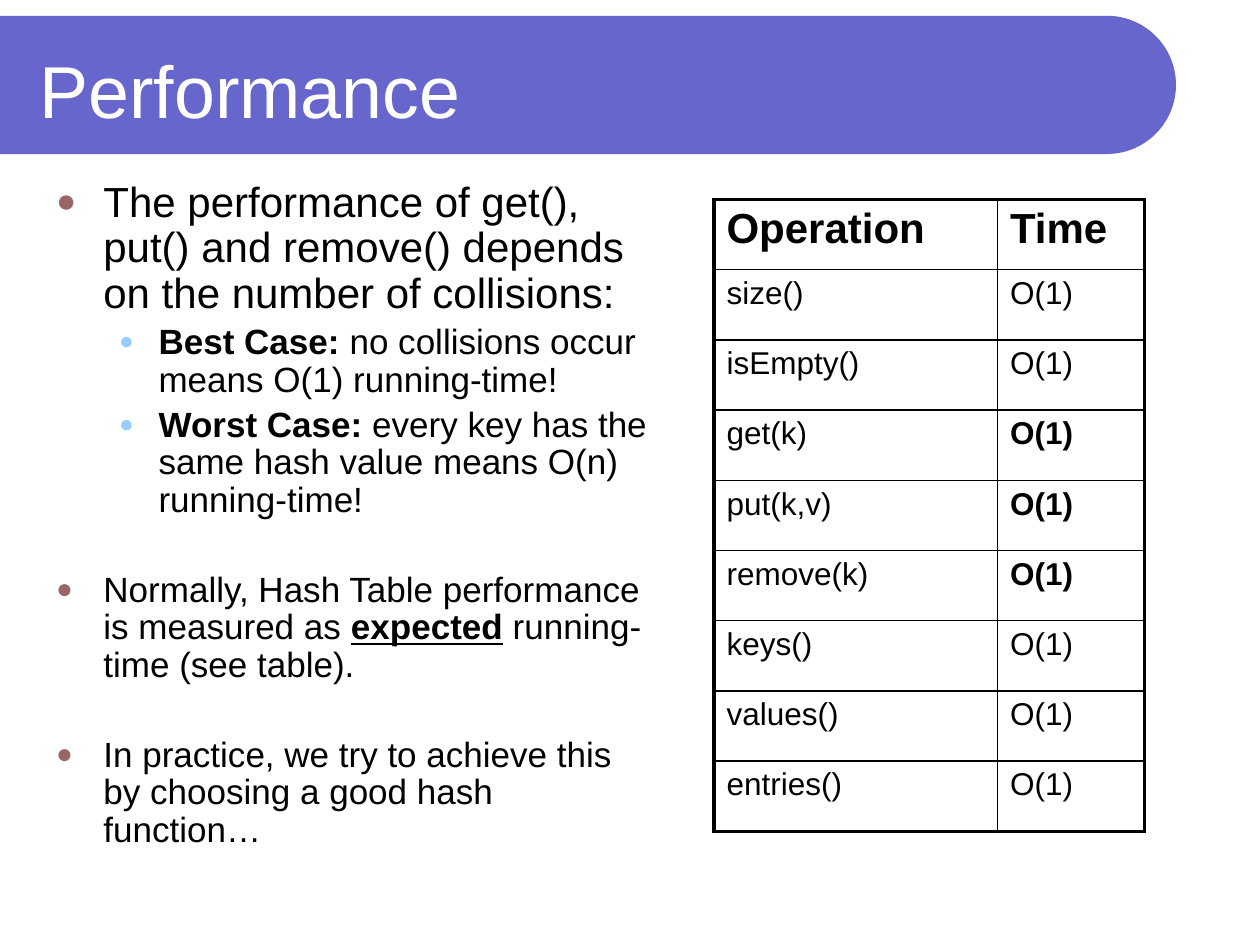
from dataclasses import dataclass
from math import cos, pi, sin

from lxml.etree import SubElement
from pptx import Presentation
from pptx.dml.color import RGBColor
from pptx.enum.text import MSO_ANCHOR
from pptx.oxml.ns import qn
from pptx.util import Pt


@dataclass(frozen=True)
class Theme:
    font: str = "Arial"
    banner: str = "6666CC"
    title: str = "FFFFFF"
    text: str = "000000"
    bullets: tuple = (("996666", 80), ("99CCFF", 70))  # colour, percent size
    indents: tuple = ((27, -27), (58.5, -22.5))  # left margin, first line
    title_size: float = 42
    large: float = 24
    body: float = 20
    cell: float = 18
    outer_line: float = 2.25
    inner_line: float = 1


THEME = Theme()

# level, size, space before, runs of (text, bold, underline)
POINTS = [
    (0, THEME.large, 0, [
        ("The performance of get(), put() and remove() depends on the number of collisions:",
         False, False)]),
    (1, THEME.body, 4, [
        ("Best Case: ", True, False),
        ("no collisions occur means O(1) running-time!", False, False)]),
    (1, THEME.body, 4, [
        ("Worst Case: ", True, False),
        ("every key has the same hash value means O(n) running-time!", False, False)]),
    (0, THEME.body, 29.5, [
        ("Normally, Hash Table performance is measured as ", False, False),
        ("expected", True, True),
        (" running-time (see table).", False, False)]),
    (0, THEME.body, 29.5, [
        ("In practice, we try to achieve this by choosing a good hash function…",
         False, False)]),
]

OPERATIONS = ["size()", "isEmpty()", "get(k)", "put(k,v)", "remove(k)",
              "keys()", "values()", "entries()"]
EXPECTED_TIMES = {"get(k)", "put(k,v)", "remove(k)"}


def add_run(paragraph, text, size, color=THEME.text, bold=False, underline=False):
    run = paragraph.add_run()
    run.text = text
    font = run.font
    font.name, font.size = THEME.font, Pt(size)
    font.bold, font.underline = bold, underline
    font.color.rgb = RGBColor.from_string(color)


def add_text_frame(slide, left, top, width, height):
    box = slide.shapes.add_textbox(Pt(left), Pt(top), Pt(width), Pt(height))
    box.text_frame.word_wrap = True
    return box.text_frame


def set_bullet(paragraph, level):
    color, percent = THEME.bullets[level]
    margin, indent = THEME.indents[level]
    properties = paragraph._p.get_or_add_pPr()
    properties.set("marL", str(Pt(margin)))
    properties.set("indent", str(Pt(indent)))
    bullet_color = SubElement(properties, qn("a:buClr"))
    SubElement(bullet_color, qn("a:srgbClr"), val=color)
    SubElement(properties, qn("a:buSzPct"), val=str(percent * 1000))
    SubElement(properties, qn("a:buFont"), typeface=THEME.font)
    SubElement(properties, qn("a:buChar"), char="●")


def add_banner(slide, left, top, width, height):
    # Bar with a semicircular right end
    radius = height / 2
    center_x, center_y = left + width - radius, top + radius
    steps = 60
    angles = [pi * (step / steps - 0.5) for step in range(steps + 1)]
    arc = [(Pt(center_x + radius * cos(angle)), Pt(center_y + radius * sin(angle)))
           for angle in angles]
    builder = slide.shapes.build_freeform(Pt(left), Pt(top))
    builder.add_line_segments(arc + [(Pt(left), Pt(top + height))], close=True)
    bar = builder.convert_to_shape()
    bar.shadow.inherit = False
    bar.fill.solid()
    bar.fill.fore_color.rgb = RGBColor.from_string(THEME.banner)
    bar.line.fill.background()

    # Title
    frame = add_text_frame(slide, left + 15.5, top + 6, width - 40, height - 7)
    frame.vertical_anchor = MSO_ANCHOR.MIDDLE
    add_run(frame.paragraphs[0], "Performance", THEME.title_size, THEME.title)


def add_points(slide, left, top, width, height):
    frame = add_text_frame(slide, left, top, width, height)
    for index, (level, size, space, runs) in enumerate(POINTS):
        paragraph = frame.add_paragraph() if index else frame.paragraphs[0]
        paragraph.level = level
        paragraph.line_spacing = 0.9
        paragraph.space_before = Pt(space)
        set_bullet(paragraph, level)
        for text, bold, underline in runs:
            add_run(paragraph, text, size, bold=bold, underline=underline)


def set_borders(cell, outer_sides):
    properties = cell._tc.get_or_add_tcPr()
    for position, side in enumerate("LRTB"):
        weight = THEME.outer_line if side in outer_sides else THEME.inner_line
        line = properties.makeelement(qn(f"a:ln{side}"), {"w": str(Pt(weight))})
        fill = SubElement(line, qn("a:solidFill"))
        SubElement(fill, qn("a:srgbClr"), val=THEME.text)
        properties.insert(position, line)


def add_operations_table(slide, left, top, width, height):
    rows = [("Operation", "Time")] + [(name, "O(1)") for name in OPERATIONS]
    last = len(rows) - 1
    frame = slide.shapes.add_table(len(rows), 2, Pt(left), Pt(top), Pt(width), Pt(height))
    table = frame.table
    table.first_row = table.horz_banding = False
    first_width = 162
    table.columns[0].width = Pt(first_width)
    table.columns[1].width = Pt(width - first_width)
    for row_index, row in enumerate(rows):
        table.rows[row_index].height = Pt(height / len(rows))
        for column, text in enumerate(row):
            cell = table.cell(row_index, column)
            cell.fill.background()
            header = row_index == 0
            bold = header or (column == 1 and row[0] in EXPECTED_TIMES)
            size = THEME.large if header else THEME.cell
            add_run(cell.text_frame.paragraphs[0], text, size, bold=bold)
            outer = "LR"[column] + ("T" if header else "") + ("B" if row_index == last else "")
            set_borders(cell, outer)


def main():
    presentation = Presentation()
    presentation.slide_width, presentation.slide_height = Pt(720), Pt(540)
    slide = presentation.slides.add_slide(presentation.slide_layouts[6])
    add_banner(slide, 0, 9, 672, 79)
    add_points(slide, 25, 100, 358.5, 414)
    add_operations_table(slide, 408, 114, 246, 361)
    presentation.save("out.pptx")


if __name__ == "__main__":
    main()
